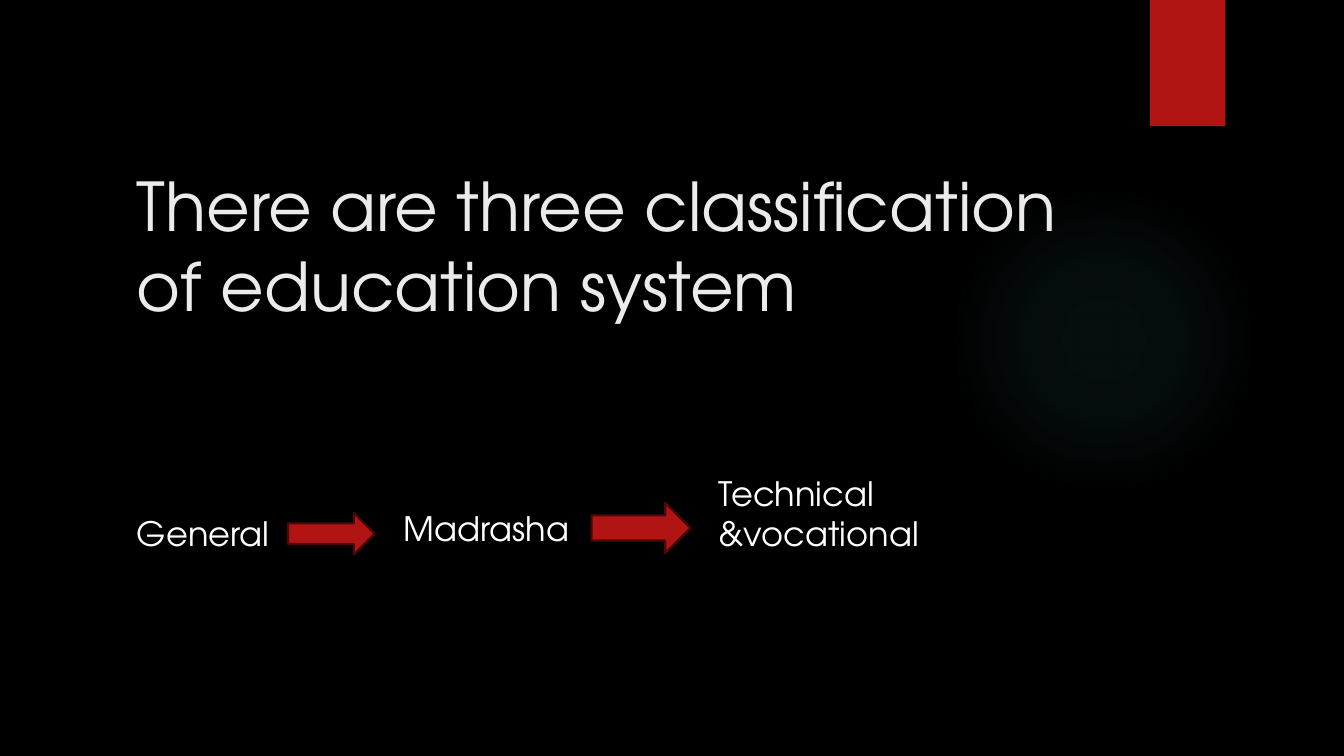
from lxml.etree import SubElement
from pptx import Presentation
from pptx.dml.color import RGBColor
from pptx.enum.shapes import MSO_SHAPE
from pptx.enum.text import MSO_ANCHOR, PP_ALIGN
from pptx.oxml.ns import qn
from pptx.util import Cm, Pt

FONT = "TeX Gyre Adventor"
COLORS = {
    "background": "000000",
    "title": "EBEBEB",
    "text": "FFFFFF",
    "red": "B01513",
    "outline": "4D0908",
    "glow": "50B9C1",
}


def color(name):
    """Return the named palette color."""
    return RGBColor.from_string(COLORS[name])


def add_block(slide, kind, left, top, width, height, outline=None):
    """Add a red preset shape, outlined if a color is named."""
    shape = slide.shapes.add_shape(kind, Cm(left), Cm(top), Cm(width), Cm(height))
    shape.shadow.inherit = False
    shape.fill.solid()
    shape.fill.fore_color.rgb = color("red")
    if outline:
        shape.line.color.rgb = color(outline)
        shape.line.width = Pt(1.5)
    else:
        shape.line.fill.background()
    return shape


def add_glow(slide, left, top, size):
    """Add a faint circle that fades out from its centre."""
    shape = add_block(slide, MSO_SHAPE.OVAL, left, top, size, size)
    properties = shape.fill._xPr
    solid = properties.find(qn("a:solidFill"))
    gradient = solid.makeelement(qn("a:gradFill"), {"rotWithShape": "1"})
    properties.replace(solid, gradient)
    stops = SubElement(gradient, qn("a:gsLst"))
    for position, opacity in ((0, 7), (36, 6), (69, 0)):
        stop = SubElement(stops, qn("a:gs"), pos=str(position * 1000))
        tint = SubElement(stop, qn("a:srgbClr"), val=COLORS["glow"])
        SubElement(tint, qn("a:alpha"), val=str(opacity * 1000))
    gradient_path = SubElement(gradient, qn("a:path"), {"path": "circle"})
    sides = {side: "50000" for side in "ltrb"}
    SubElement(gradient_path, qn("a:fillToRect"), sides)


def add_text(slide, text, left, top, width, height, size=24,
             color_name="text", anchor=MSO_ANCHOR.TOP, space_before=0):
    """Add a wrapped, left-aligned text box."""
    shape = slide.shapes.add_textbox(Cm(left), Cm(top), Cm(width), Cm(height))
    frame = shape.text_frame
    frame.word_wrap = True
    frame.vertical_anchor = anchor
    paragraph = frame.paragraphs[0]
    paragraph.text = text
    paragraph.alignment = PP_ALIGN.LEFT
    paragraph.space_before = Pt(space_before)
    paragraph.font.name = FONT
    paragraph.font.size = Pt(size)
    paragraph.font.color.rgb = color(color_name)


def main():
    """Build the slide and save it."""
    presentation = Presentation()
    presentation.slide_width = Cm(33.87)
    presentation.slide_height = Cm(19.05)
    slide = presentation.slides.add_slide(presentation.slide_layouts[6])
    slide.background.fill.solid()
    slide.background.fill.fore_color.rgb = color("background")

    add_glow(slide, 23.9, 4.65, 7.82)
    add_block(slide, MSO_SHAPE.RECTANGLE, 28.98, 0, 1.9, 3.18)
    add_text(slide, "There are three classification of education system",
             3.2, 4.01, 24.51, 5.51, size=48, color_name="title")
    add_text(slide, "General", 3.2, 10.16, 24.51, 6.55,
             anchor=MSO_ANCHOR.MIDDLE, space_before=10)
    add_text(slide, "Madrasha", 9.93, 12.67, 7.65, 1.27)
    add_text(slide, "Technical &vocational", 17.86, 11.79, 6.45, 2.31)
    for left, top, width, height in ((7.26, 12.93, 2.18, 1.04),
                                     (14.91, 12.67, 2.49, 1.27)):
        add_block(slide, MSO_SHAPE.RIGHT_ARROW, left, top, width, height, "outline")

    presentation.save("out.pptx")


if __name__ == "__main__":
    main()
